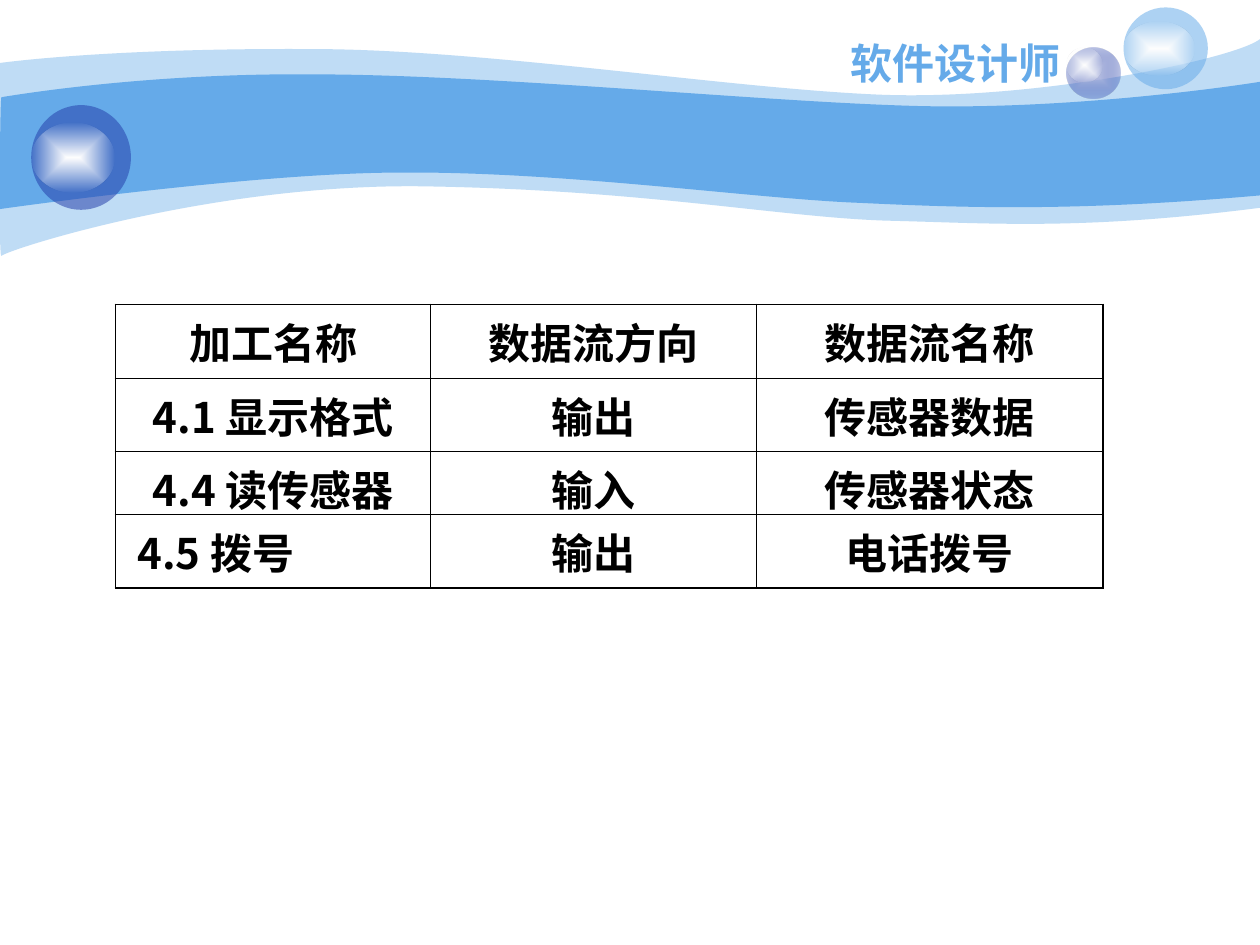
from dataclasses import dataclass

import pptx
import pptx.dml.color
import pptx.enum.shapes
import pptx.enum.text
import pptx.oxml
import pptx.oxml.ns
import pptx.util
from lxml import etree

Cm = pptx.util.Cm
Pt = pptx.util.Pt
RGBColor = pptx.dml.color.RGBColor
Point = tuple[float, float]

SKY = RGBColor(0x65, 0xAA, 0xE9)
NAVY = RGBColor(0x23, 0x3D, 0xA9)
LAVENDER = RGBColor(0xC6, 0xCC, 0xE8)
WHITE = RGBColor(0xFF, 0xFF, 0xFF)
NEAR_WHITE = RGBColor(0xFE, 0xFE, 0xFE)
BLACK = RGBColor(0x00, 0x00, 0x00)
FONT = "Noto Sans CJK SC"
OUTER_LINE = Pt(1.08)
INNER_LINE = Pt(0.45)

COLUMN_WIDTHS = (6.35, 6.56, 6.99)
ROW_HEIGHTS = (1.48, 1.48, 1.27, 1.48)
ROWS = (
    ("加工名称", "数据流方向", "数据流名称"),
    ("4.1 显示格式", "输出", "传感器数据"),
    ("4.4 读传感器", "输入", "传感器状态"),
    ("4.5 拨号", "输出", "电话拨号"),
)


@dataclass(frozen=True)
class Wave:
    top: tuple[Point, ...]
    bottom: tuple[Point, ...]
    opacity: int


@dataclass(frozen=True)
class Stop:
    color: RGBColor
    opacity: int = 100


@dataclass(frozen=True)
class Disc:
    left: float
    top: float
    width: float
    height: float
    stops: tuple[Stop, ...]


GLOW = (Stop(WHITE), Stop(NEAR_WHITE, 0))

WAVES = (
    Wave(
        ((0, 1.27), (0.61, 1.19), (2.72, 0.97), (6.27, 0.99),
         (9.8, 0.99), (14.61, 1.78), (17.75, 1.91),
         (20.88, 2.03), (24.89, 1.19), (25.4, 0.79)),
        ((25.4, 4.19), (21.79, 4.65), (19.99, 4.5), (17.91, 4.45),
         (15.8, 4.39), (13.08, 3.84), (8.71, 3.76),
         (4.37, 3.66), (0.1, 5.05), (0.03, 5.16),
         (-0.03, 5.28), (0, 1.91), (0, 1.27)),
        41,
    ),
    Wave(
        ((0.03, 1.96), (0.05, 1.96), (2.79, 1.47), (6.3, 1.5),
         (9.8, 1.5), (15.11, 2.03), (18.24, 2.13),
         (21.36, 2.24), (24.79, 1.75), (25.4, 1.65)),
        ((25.4, 3.94), (21.67, 4.27), (19.43, 4.19), (17.32, 4.09),
         (15.21, 4.01), (11.35, 3.45), (8.05, 3.48),
         (5.16, 3.48), (-0.05, 4.22), (-0.03, 4.22),
         (0, 4.22), (0, 1.96), (0.03, 1.96)),
        100,
    ),
)

ORBS = (
    (Disc(21.51, 0.96, 1.07, 1.03, (Stop(LAVENDER), Stop(NAVY, 31))),
     Disc(21.51, 0.97, 0.71, 0.69, GLOW)),
    (Disc(22.65, 0.15, 1.7, 1.65, (Stop(SKY, 53),)),
     Disc(22.65, 0.43, 1.42, 1.09, GLOW)),
    (Disc(0.63, 2.12, 2.01, 2.11, (Stop(NAVY, 53),)),
     Disc(0.63, 2.47, 1.68, 1.42, GLOW)),
)


def color_xml(stop: Stop) -> str:
    alpha = f'<a:alpha val="{stop.opacity * 1000}"/>' if stop.opacity < 100 else ""
    return f'<a:srgbClr val="{stop.color}">{alpha}</a:srgbClr>'


def paint(shape, stops: tuple[Stop, ...]) -> None:
    shape.shadow.inherit = False
    shape.line.fill.background()
    shape.fill.background()
    namespace = pptx.oxml.ns.nsdecls("a")
    if len(stops) == 1:
        xml = f"<a:solidFill {namespace}>{color_xml(stops[0])}</a:solidFill>"
    else:
        marks = "".join(
            f'<a:gs pos="{index * 100000}">{color_xml(stop)}</a:gs>'
            for index, stop in enumerate(stops)
        )
        xml = (
            f'<a:gradFill {namespace} rotWithShape="1"><a:gsLst>{marks}</a:gsLst>'
            '<a:path path="rect"><a:fillToRect l="50000" t="50000" r="50000" b="50000"/>'
            "</a:path></a:gradFill>"
        )
    properties = shape._element.spPr
    empty_fill = properties.find(pptx.oxml.ns.qn("a:noFill"))
    properties.replace(empty_fill, pptx.oxml.parse_xml(xml))


def bend(segments: list) -> None:
    for first in range(0, len(segments), 3):
        triple = segments[first:first + 3]
        curve = etree.Element(pptx.oxml.ns.qn("a:cubicBezTo"))
        triple[0].addprevious(curve)
        for segment in triple:
            curve.append(segment[0])
            segment.getparent().remove(segment)


def draw_wave(page, wave: Wave) -> None:
    outline = [(Cm(x), Cm(y)) for x, y in wave.top + wave.bottom]
    builder = page.shapes.build_freeform(*outline[0])
    builder.add_line_segments(outline[1:], close=True)
    shape = builder.convert_to_shape()
    segments = list(shape._element.iter(pptx.oxml.ns.qn("a:lnTo")))
    edge = len(wave.top) - 1
    bend(segments[:edge])
    bend(segments[edge + 1:])
    paint(shape, (Stop(SKY, wave.opacity),))


def draw_orb(page, discs: tuple[Disc, ...]) -> None:
    group = page.shapes.add_group_shape()
    for disc in discs:
        ellipse = group.shapes.add_shape(
            pptx.enum.shapes.MSO_SHAPE.OVAL,
            Cm(disc.left), Cm(disc.top), Cm(disc.width), Cm(disc.height),
        )
        paint(ellipse, disc.stops)


def write_text(text_frame, text: str, color: RGBColor, alignment) -> None:
    text_frame.text = text
    paragraph = text_frame.paragraphs[0]
    paragraph.alignment = alignment
    for span in paragraph.runs:
        span.font.name = FONT
        span.font.size = Pt(24)
        span.font.bold = True
        span.font.color.rgb = color
        east_asian = etree.SubElement(span.font._element, pptx.oxml.ns.qn("a:ea"))
        east_asian.set("typeface", FONT)


def draw_title(page) -> None:
    box = page.shapes.add_textbox(Cm(15.24), Cm(0.63), Cm(8.05), Cm(1.27))
    box.text_frame.word_wrap = False
    box.text_frame.vertical_anchor = pptx.enum.text.MSO_ANCHOR.MIDDLE
    write_text(box.text_frame, "软件设计师", SKY, pptx.enum.text.PP_ALIGN.CENTER)


def set_borders(cell, outer_sides: dict[str, bool]) -> None:
    for index, (side, is_outer) in enumerate(outer_sides.items()):
        width = OUTER_LINE if is_outer else INNER_LINE
        border = pptx.oxml.parse_xml(
            f'<a:ln{side} {pptx.oxml.ns.nsdecls("a")} w="{int(width)}">'
            f"<a:solidFill>{color_xml(Stop(BLACK))}</a:solidFill></a:ln{side}>"
        )
        cell._tc.get_or_add_tcPr().insert(index, border)


def draw_table(page) -> None:
    last_row, last_column = len(ROWS) - 1, len(COLUMN_WIDTHS) - 1
    table = page.shapes.add_table(
        len(ROWS), len(COLUMN_WIDTHS), Cm(2.33), Cm(6.14),
        Cm(sum(COLUMN_WIDTHS)), Cm(sum(ROW_HEIGHTS)),
    ).table
    table.first_row = False
    table.horz_banding = False
    for column, width in zip(table.columns, COLUMN_WIDTHS):
        column.width = Cm(width)
    for row_index, texts in enumerate(ROWS):
        table.rows[row_index].height = Cm(ROW_HEIGHTS[row_index])
        for column_index, text in enumerate(texts):
            cell = table.cell(row_index, column_index)
            cell.fill.background()
            write_text(cell.text_frame, text, BLACK, pptx.enum.text.PP_ALIGN.CENTER)
            set_borders(cell, {
                "L": column_index == 0, "R": column_index == last_column,
                "T": row_index == 0, "B": row_index == last_row,
            })
    dial_cell = table.cell(last_row, 0)
    dial_cell.margin_left = Cm(0.44)
    dial_cell.text_frame.paragraphs[0].alignment = pptx.enum.text.PP_ALIGN.LEFT


def main() -> None:
    deck = pptx.Presentation()
    deck.slide_width, deck.slide_height = Cm(25.4), Cm(19.05)
    page = deck.slides.add_slide(deck.slide_layouts[6])
    for wave in WAVES:
        draw_wave(page, wave)
    for discs in ORBS:
        draw_orb(page, discs)
    draw_title(page)
    draw_table(page)
    deck.save("out.pptx")


if __name__ == "__main__":
    main()
